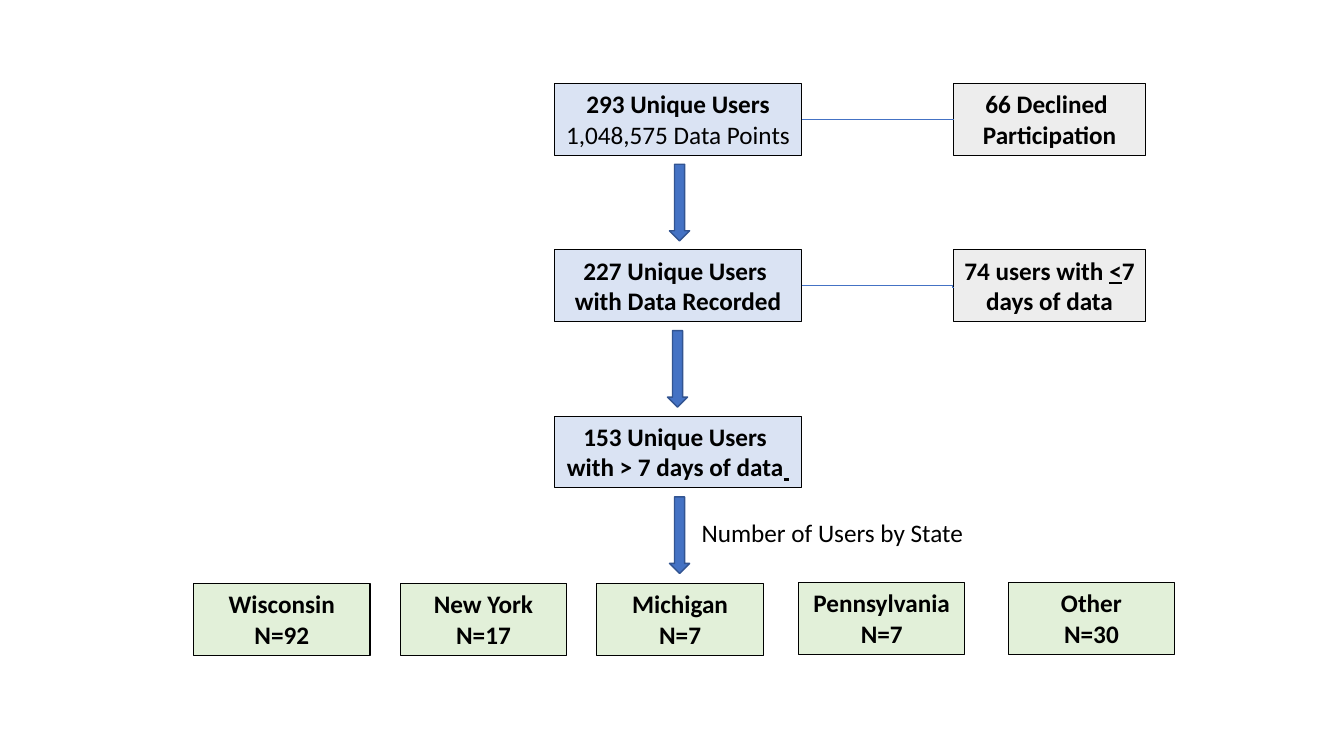
from lxml import etree
from pptx import Presentation
from pptx import util as u
from pptx.dml.color import RGBColor
from pptx.enum import shapes, text
from pptx.oxml.ns import qn

COLUMNS, ROWS = 133.3, 75
CELL = u.Inches(0.1)
BOX_HEIGHT = 7.1
BLUE, GREY, GREEN, ACCENT = "DAE3F3", "EDEDED", "E2F0D9", "4472C4"
BOLD = {"bold": True}
UNDERLINED = {"bold": True, "underline": True}

STEPS = [
    [[("293 Unique Users", BOLD)], [("1,048,575 Data Points", {})]],
    [[("227 Unique Users ", BOLD)], [("with Data Recorded", BOLD)]],
    [[("153 Unique Users ", BOLD)],
     [("with > 7 days of data", BOLD), (" ", UNDERLINED)]],
]
EXCLUSIONS = [
    [[("66 Declined ", BOLD)], [("Participation", BOLD)]],
    [[("74 users with ", BOLD), ("<", UNDERLINED), ("7 days of data", BOLD)]],
]
STATES = [
    ("Wisconsin", 92, 0, 0.1, 17.5),
    ("New York", 17, 20.5, 0.1, 16.5),
    ("Michigan", 7, 40, 0.1, 16.5),
    ("Pennsylvania", 7, 60, 0, 16.5),
    ("Other", 30, 80.8, 0, 16.5),
]


def cells(*lengths):
    return [round(length * CELL) for length in lengths]


def color(value):
    return RGBColor.from_string(value)


def apply(target, values):
    for name, value in values.items():
        setattr(target, name, value)


def paint(shape, fill, line, width):
    shape.shadow.inherit = False
    shape.fill.solid()
    shape.fill.fore_color.rgb = color(fill)
    shape.line.color.rgb = color(line)
    shape.line.width = u.Pt(width)


def write(shape, lines, alignment, wrap):
    frame = shape.text_frame
    apply(frame, {"word_wrap": wrap,
                  "auto_size": text.MSO_AUTO_SIZE.SHAPE_TO_FIT_TEXT,
                  "vertical_anchor": text.MSO_ANCHOR.TOP})
    for index, line in enumerate(lines):
        paragraph = frame.add_paragraph() if index else frame.paragraphs[0]
        paragraph.alignment = alignment
        for words, values in line:
            run = paragraph.add_run()
            run.text = words
            apply(run.font, {"name": "Calibri", "size": u.Pt(18), "bold": False, **values})
            run.font.color.rgb = color("000000")


def add_box(slide, left, top, width, fill, lines, wrap=True):
    shape = slide.shapes.add_shape(
        shapes.MSO_SHAPE.RECTANGLE, *cells(left, top, width, BOX_HEIGHT))
    paint(shape, fill, "000000", 0.75)
    write(shape, lines, text.PP_ALIGN.CENTER, wrap)


def add_flow(slide, left, top, width, pitch):
    for index, lines in enumerate(STEPS):
        box_top = top + index * pitch
        add_box(slide, left, box_top, width, BLUE, lines, wrap=index > 0)
        nudge = -0.2 if index == 1 else 0
        arrow = slide.shapes.add_shape(
            shapes.MSO_SHAPE.DOWN_ARROW,
            *cells(left + 11.4 + nudge, box_top + BOX_HEIGHT + 0.9, 2, 7.6))
        paint(arrow, ACCENT, "325491", 1)


def add_exclusions(slide, left, top, width, pitch, gap):
    for index, (lines, drop, bend) in enumerate(zip(EXCLUSIONS, (0, 0.15), (50000, 99000))):
        box_top = top + index * pitch
        add_box(slide, left, box_top, width, GREY, lines)
        middle = box_top + BOX_HEIGHT / 2
        connector = slide.shapes.add_connector(
            shapes.MSO_CONNECTOR.ELBOW, *cells(left - gap, middle, left, middle + drop))
        connector.line.color.rgb = color(ACCENT)
        connector.line.width = u.Pt(0.5)
        properties = connector.element.spPr
        etree.SubElement(properties, qn("a:effectLst"))
        guides = properties.find(qn("a:prstGeom")).get_or_add_avLst()
        etree.SubElement(guides, qn("a:gd"), name="adj1", fmla=f"val {bend}")


def add_states(slide, left, top):
    for state, count, offset, drop, width in STATES:
        lines = [[(state, BOLD)], [(f"N={count}", BOLD)]]
        add_box(slide, left + offset, top + drop, width, GREEN, lines)


def add_label(slide, left, top, width, height):
    label = slide.shapes.add_textbox(*cells(left, top, width, height))
    write(label, [[("Number of Users by State", {})]], text.PP_ALIGN.LEFT, False)


def main():
    presentation = Presentation()
    presentation.slide_width, presentation.slide_height = cells(COLUMNS, ROWS)
    slide = presentation.slides.add_slide(presentation.slide_layouts[6])
    add_flow(slide, 55, 8.3, 24.5, 16.5)
    add_exclusions(slide, 94.6, 8.3, 19, 16.5, 15.1)
    add_label(slide, 68.6, 50.8, 28.2, 4)
    add_states(slide, 19.2, 57.8)
    presentation.save("out.pptx")


if __name__ == "__main__":
    main()
